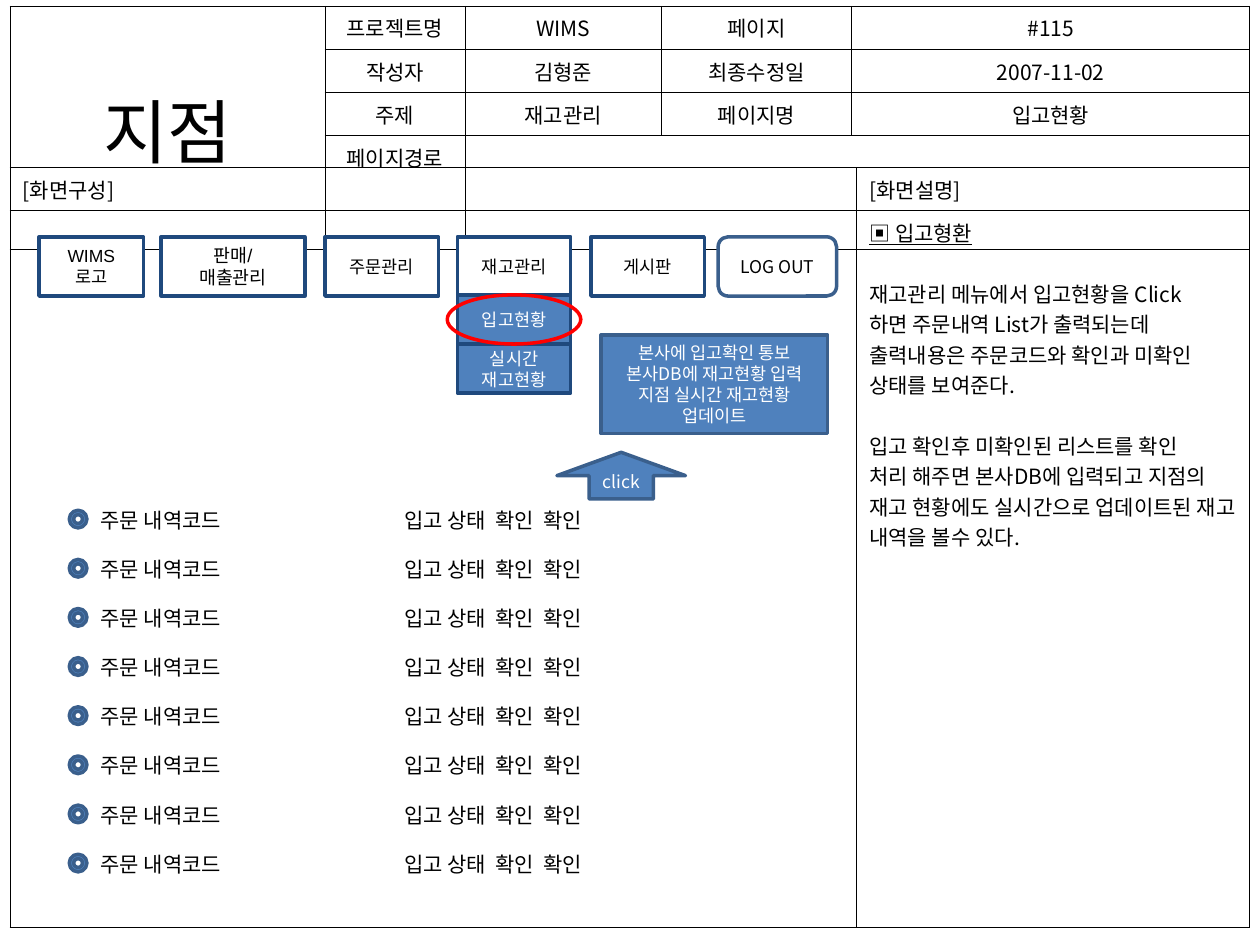
from lxml import etree
from pptx import Presentation
from pptx.dml.color import RGBColor
from pptx.enum.shapes import MSO_SHAPE as SHAPE
from pptx.enum.text import MSO_ANCHOR as ANCHOR, PP_ALIGN as ALIGN
from pptx.oxml import parse_xml
from pptx.oxml.ns import nsdecls, qn
from pptx.util import Inches, Pt

BLACK = RGBColor(0x00, 0x00, 0x00)
WHITE = RGBColor(0xFF, 0xFF, 0xFF)
RED = RGBColor(0xFF, 0x00, 0x00)
BLUE = RGBColor(0x4F, 0x81, 0xBD)
NAVY = RGBColor(0x1F, 0x49, 0x7D)
STEEL = RGBColor(0x3A, 0x5F, 0x8C)
KOREAN, LATIN = "Noto Sans CJK KR", "Arial"

HEADER = [
    ["지점", "프로젝트명", "WIMS", "페이지", "#115"],
    ["", "작성자", "김형준", "최종수정일", "2007-11-02"],
    ["", "주제", "재고관리", "페이지명", "입고현황"],
    ["", "페이지경로", "", "", ""],
]
HEADER_COLS, HEADER_ROWS = [2.5, 1.11, 1.56, 1.51, 3.16], [0.29, 0.29, 0.29, 0.26]
BODY_HEADS = ["[화면구성]", "[화면설명]"]
BODY_COLS, BODY_ROWS = [6.72, 3.12], [0.33, 5.69]
# text, whether a gap comes before it
DESCRIPTION = [
    ("▣ 입고형환", False),
    ("재고관리 메뉴에서 입고현황을 Click", True),
    ("하면 주문내역 List가 출력되는데 출력내용은 주문코드와 확인과 미확인", False),
    ("상태를 보여준다.", False),
    ("입고 확인후 미확인된 리스트를 확인", True),
    ("처리 해주면 본사DB에 입력되고 지점의 재고 현황에도 실시간으로 업데이트된 "
     "재고 내역을 볼수 있다.", False),
]
# lines, left, width, size
MENU = [
    (["WIMS", "로고"], 0.31, 0.83, 10),
    (["판매/", "매출관리"], 1.28, 1.14, 10.5),
    (["주문관리"], 2.58, 0.9, 10),
    (["재고관리"], 3.63, 0.9, 10),
    (["게시판"], 4.69, 0.9, 10),
]
SUBMENU = [["입고현황"], ["실시간", "재고현황"]]
NOTICE = ["본사에 입고확인 통보", "본사DB에 재고현황 입력", "지점 실시간 재고현황", "업데이트"]
ORDER, STATUS = "주문 내역코드", "입고 상태  확인  확인"
ORDER_COUNT, ORDER_TOP, ORDER_PITCH = 8, 3.9, 0.39
MENU_TOP, MENU_H, SUB_H = 1.88, 0.47, 0.39


def add_run(p, text, size=12, color=BLACK, name=KOREAN, underline=None):
    r = p.add_run()
    r.text = text
    formats = {"size": Pt(size), "name": name, "underline": underline}
    for key, value in formats.items():
        setattr(r.font, key, value)
    r.font.color.rgb = color
    etree.SubElement(r.font._element, qn("a:ea"), typeface=KOREAN)


def add_grid(s, top, cols, rows):
    """Add an unfilled table with thin black borders."""
    frame = s.shapes.add_table(len(rows), len(cols), Inches(0.08), Inches(top),
                               Inches(sum(cols)), Inches(sum(rows)))
    table = frame.table
    table.first_row = table.horz_banding = False
    for col, width in zip(table.columns, cols):
        col.width = Inches(width)
    for row, height in zip(table.rows, rows):
        row.height = Inches(height)
    for cell in table.iter_cells():
        cell.fill.background()
        tc_pr = cell._tc.get_or_add_tcPr()
        for i, side in enumerate("LRTB"):
            tc_pr.insert(i, parse_xml(
                f'<a:ln{side} {nsdecls("a")} w="6350"><a:solidFill>'
                f'<a:srgbClr val="{BLACK}"/></a:solidFill></a:ln{side}>'))
    return table


def add_box(s, kind, at, lines=(), fill=WHITE, line=STEEL, size=10,
            color=BLACK, name=KOREAN):
    sp = s.shapes.add_shape(kind, *map(Inches, at))
    sp.shadow.inherit = False
    if fill is None:
        sp.fill.background()
    else:
        sp.fill.solid()
        sp.fill.fore_color.rgb = fill
    sp.line.color.rgb = line
    sp.line.width = Pt(2)
    tf = sp.text_frame
    tf.margin_left = tf.margin_right = tf.margin_top = tf.margin_bottom = 0
    tf.vertical_anchor = ANCHOR.MIDDLE
    for i, text in enumerate(lines):
        p = tf.add_paragraph() if i else tf.paragraphs[0]
        p.alignment = ALIGN.CENTER
        p.line_spacing = Pt(size * 1.2)
        add_run(p, text, size, color, name)


def add_label(s, text, left, top, inset):
    tf = s.shapes.add_textbox(Inches(left), Inches(top), Inches(2.34), Inches(0.4)).text_frame
    tf.word_wrap = True
    tf.vertical_anchor = ANCHOR.MIDDLE
    tf.margin_left, tf.margin_top = Inches(inset), Inches(0.1)
    add_run(tf.paragraphs[0], text)


def add_header(s):
    table = add_grid(s, 0.05, HEADER_COLS, HEADER_ROWS)
    table.cell(0, 0).merge(table.cell(3, 0))
    table.cell(3, 2).merge(table.cell(3, 4))
    table.cell(0, 0).vertical_anchor = ANCHOR.MIDDLE
    for i, row in enumerate(HEADER):
        for j, text in enumerate(row):
            if text:
                p = table.cell(i, j).text_frame.paragraphs[0]
                p.alignment = ALIGN.CENTER
                add_run(p, text, 12 if j else 40)


def add_body(s):
    table = add_grid(s, 1.33, BODY_COLS, BODY_ROWS)
    for j, text in enumerate(BODY_HEADS):
        add_run(table.cell(0, j).text_frame.paragraphs[0], text)
    tf = table.cell(1, 1).text_frame
    for i, (text, gap) in enumerate(DESCRIPTION):
        p = tf.add_paragraph() if i else tf.paragraphs[0]
        if gap:
            p.space_before = Pt(17.4)
        add_run(p, text, underline=(i == 0))


def add_menu(s):
    for lines, left, width, size in MENU:
        add_box(s, SHAPE.RECTANGLE, (left, MENU_TOP, width, MENU_H), lines,
                line=NAVY, size=size, name=LATIN)
    add_box(s, SHAPE.ROUNDED_RECTANGLE, (5.7, MENU_TOP, 0.94, MENU_H), ["LOG OUT"])
    for i, lines in enumerate(SUBMENU):
        add_box(s, SHAPE.RECTANGLE, (3.63, 2.34 + i * SUB_H, 0.9, SUB_H), lines,
                fill=BLUE, line=NAVY, color=WHITE, name=LATIN)


def add_orders(s):
    for i in range(ORDER_COUNT):
        top = ORDER_TOP + i * ORDER_PITCH
        add_box(s, SHAPE.DONUT, (0.55, top + 0.15, 0.14, 0.14), fill=BLUE)
        add_label(s, ORDER, 0.7, top, 0.1)
        add_label(s, STATUS, 3.05, top, 0.16)


def main():
    prs = Presentation()
    prs.slide_width, prs.slide_height = Inches(10), Inches(7.5)
    s = prs.slides.add_slide(prs.slide_layouts[6])
    add_header(s)
    add_body(s)
    add_menu(s)
    add_orders(s)
    add_box(s, SHAPE.UP_ARROW, (4.42, 3.59, 1.02, 0.37), ["click"], fill=BLUE, color=WHITE)
    add_box(s, SHAPE.RECTANGLE, (4.77, 2.66, 1.8, 0.78), NOTICE, fill=BLUE, color=WHITE)
    add_box(s, SHAPE.OVAL, (3.55, 2.34, 1.06, SUB_H), fill=None, line=RED)
    prs.save("out.pptx")


if __name__ == "__main__":
    main()
